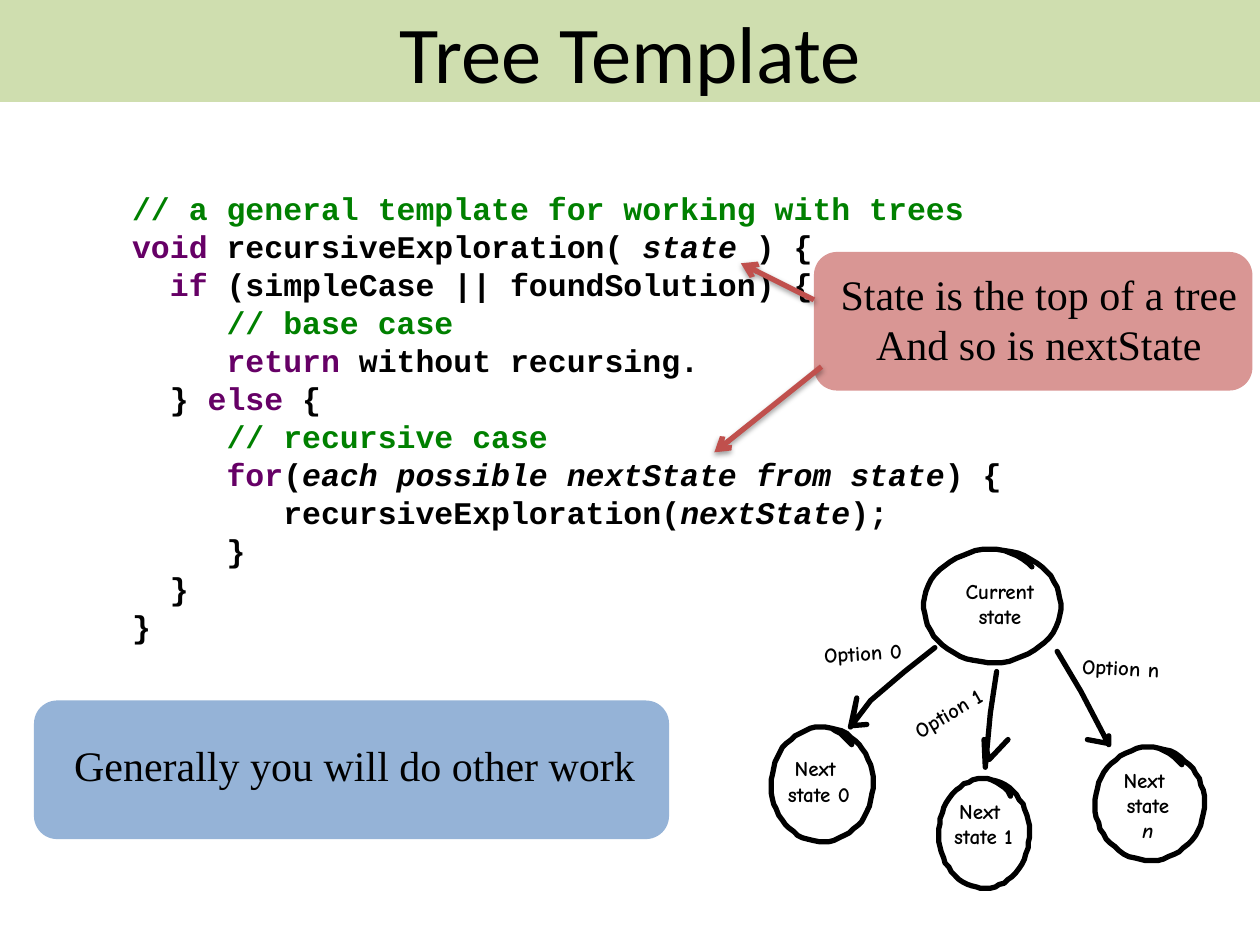
import math
import pptx
import pptx.util
import pptx.dml.color
import pptx.enum.shapes
import pptx.enum.text
import pptx.oxml
import pptx.oxml.ns

PX = 9144  # EMU per px, 100 px to the inch
BLACK, GREEN, PURPLE, RED = "000000", "008000", "660066", "C0504D"
CODE = {"font": "Courier New", "size": 18, "bold": True}
NOTE = {"font": "Times New Roman", "size": 24, "bold": False}
HAND = {"font": "Comic Neue", "size": 12, "bold": True}
HEAD = {"font": "Calibri", "size": 46, "bold": False}

# Panels: kind, box, fill
PANELS = [("ROUNDED_RECTANGLE", (646, 200, 348, 110), "D99694"),
          ("ROUNDED_RECTANGLE", (27, 556, 504, 110), "95B3D7")]
BAND = ("RECTANGLE", (0, 0, 1000, 81), "C3D69B")
TITLE = [[("Tree Template",)]]

# Code lines: runs of text, colour, italic
LINES = [
    [("// a general template for working with trees", GREEN)],
    [("void ", PURPLE), ("recursiveExploration( ",), ("state ", BLACK, True), (") {",)],
    [("  ",), ("if ", PURPLE), ("(simpleCase || foundSolution) {",)],
    [("     ",), ("// base case", GREEN)],
    [("     ",), ("return ", PURPLE), ("without recursing.",)],
    [("  } ",), ("else ", PURPLE), ("{",)],
    [("     ",), ("// recursive case", GREEN)],
    [("     ",), ("for", PURPLE), ("(",),
     ("each possible nextState from state", BLACK, True), (") {",)],
    [("        recursiveExploration(",), ("nextState", BLACK, True), (");",)],
    [("     }",)],
    [("  }",)],
    [("}",)],
]

# Text boxes: box, style, centred, wrapped, turn, lines
TEXTS = [
    ((95, 145, 717, 404), CODE, False, False, 0, LINES),
    ((754, 454, 79, 50), HAND, True, False, 0, [[("Current",)], [("state",)]]),
    ((612, 595, 76, 50), HAND, True, True, 0, [[("Next ",)], [("state 0",)]]),
    ((743, 629, 75, 50), HAND, True, True, 0, [[("Next ",)], [("state 1",)]]),
    ((877, 604, 68, 71), HAND, True, True, 0,
     [[("Next ",)], [("state ",), ("n", BLACK, True)]]),
    ((644, 503, 86, 30), HAND, False, False, 356, [[("Option 0",)]]),
    ((713, 550, 82, 30), HAND, False, False, 329.3, [[("Option 1",)]]),
    ((849, 515, 84, 30), HAND, False, False, 2.6, [[("Option n",)]]),
    ((49, 582, 467, 50), NOTE, False, False, 0,
     [[("Generally you will do other work",)]]),
    ((649, 208, 351, 91), NOTE, True, False, 0,
     [[("State is the top of a tree",)], [("And so is nextState",)]]),
]

# Tree sketch: node boxes, then branch strokes with their barbs
NODES = [(733, 436, 109, 90), (612, 577, 81, 91), (745, 618, 72, 87), (869, 593, 87, 90)]
TWIGS = [
    [(742, 514), (718, 533), (691, 556), (675, 577), (680, 554), (676, 576), (688, 575)],
    [(791, 533), (786, 566), (782, 609), (781, 587), (785, 603), (800, 587)],
    [(839, 517), (858, 549), (880, 591), (880, 584), (879, 590), (863, 587)],
]
ARROWS = [(646, 238, 588, 209), (652, 291, 567, 359)]


def rgb(code):
    return pptx.dml.color.RGBColor.from_string(code)


def emu(nums):
    return [n * PX for n in nums]


def xml(tag, body):
    return pptx.oxml.parse_xml("<a:%s %s %s" % (tag, pptx.oxml.ns.nsdecls("a"), body))


def panel(kind, box, fill):
    form = slide.shapes.add_shape(
        getattr(pptx.enum.shapes.MSO_SHAPE, kind), *emu(box))
    form.shadow.inherit = False
    form.fill.solid()
    form.fill.fore_color.rgb = rgb(fill)
    form.line.fill.background()
    return form


def write(frame, lines, style, mid):
    align = pptx.enum.text.PP_ALIGN
    for i, runs in enumerate(lines):
        para = frame.add_paragraph() if i else frame.paragraphs[0]
        para.alignment = align.CENTER if mid else align.LEFT
        if style is CODE:
            para.line_spacing = pptx.util.Pt(21.7)
        for text, *more in runs:
            hue, slant = more + [BLACK, False][len(more):]
            run = para.add_run()
            run.text = text
            run.font.name = style["font"]
            run.font.size = pptx.util.Pt(style["size"])
            run.font.bold = style["bold"]
            run.font.italic = slant
            run.font.color.rgb = rgb(hue)


def pen(line, hue):
    line.color.rgb = rgb(hue)
    line.width = pptx.util.Pt(3)


def ring(left, top, wide, high):
    """Loop drawn leftward from the upper right, its ends overlapping."""
    dots = []
    for turn in range(0, 396, 6):
        size = min(1, 0.9 + turn / 300)
        angle = math.radians(50 + turn)
        dots.append((left + wide / 2 * (1 + size * math.cos(angle)),
                     top + high / 2 * (1 - size * math.sin(angle))))
    return dots


def draw(dots):
    maker = slide.shapes.build_freeform(*dots[0], scale=PX)
    maker.add_line_segments(dots[1:], close=False)
    stroke = maker.convert_to_shape()
    stroke.shadow.inherit = False
    stroke.fill.background()
    pen(stroke.line, BLACK)
    stroke.line._ln.set("cap", "rnd")


deck = pptx.Presentation()
deck.slide_width, deck.slide_height = emu((1000, 750))
slide = deck.slides.add_slide(deck.slide_layouts[6])

# Panels and title band
for item in PANELS:
    panel(*item)
band = panel(*BAND)
tint = band._element.spPr.find(".//" + pptx.oxml.ns.qn("a:srgbClr"))
tint.append(xml("alpha", 'val="80000"/>'))
band.text_frame.vertical_anchor = pptx.enum.text.MSO_ANCHOR.MIDDLE
write(band.text_frame, TITLE, HEAD, True)

# Tree sketch
for dots in [ring(*box) for box in NODES] + TWIGS:
    draw(dots)

# Code, labels and notes
for box, style, mid, wrap, turn, lines in TEXTS:
    label = slide.shapes.add_textbox(*emu(box))
    label.rotation = turn
    label.text_frame.word_wrap = wrap
    label.text_frame.auto_size = pptx.enum.text.MSO_AUTO_SIZE.SHAPE_TO_FIT_TEXT
    write(label.text_frame, lines, style, mid)

# Pointers from the red panel into the code
for ends in ARROWS:
    arrow = slide.shapes.add_connector(
        pptx.enum.shapes.MSO_CONNECTOR.STRAIGHT, *emu(ends))
    pen(arrow.line, RED)
    arrow.line._ln.append(xml("tailEnd", 'type="arrow"/>'))
    arrow._element.spPr.append(xml(
        "effectLst", '><a:outerShdw blurRad="40000" dist="20000" dir="5400000" '
        'rotWithShape="0"><a:srgbClr val="000000"><a:alpha val="38000"/>'
        '</a:srgbClr></a:outerShdw></a:effectLst>'))

deck.save("out.pptx")
